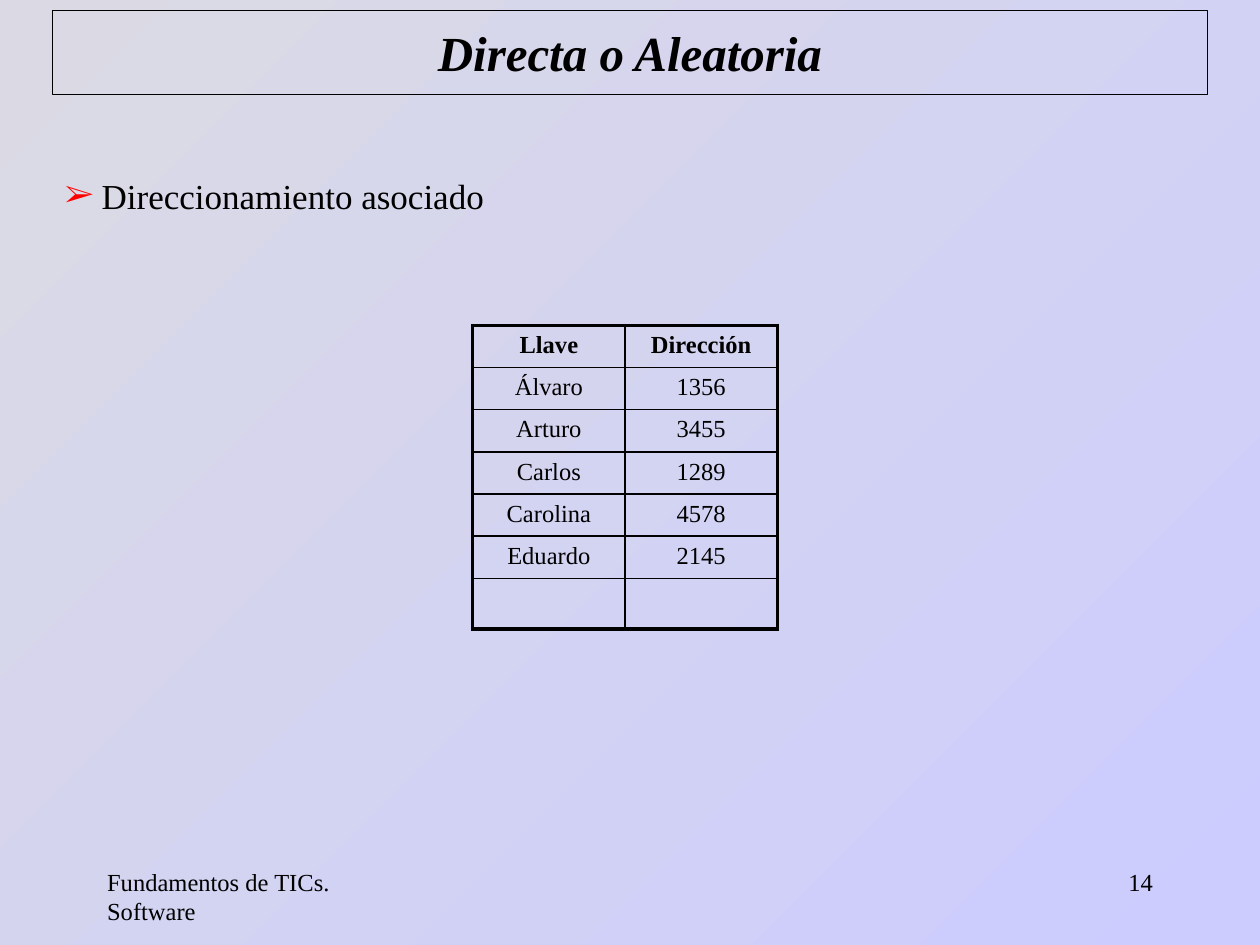
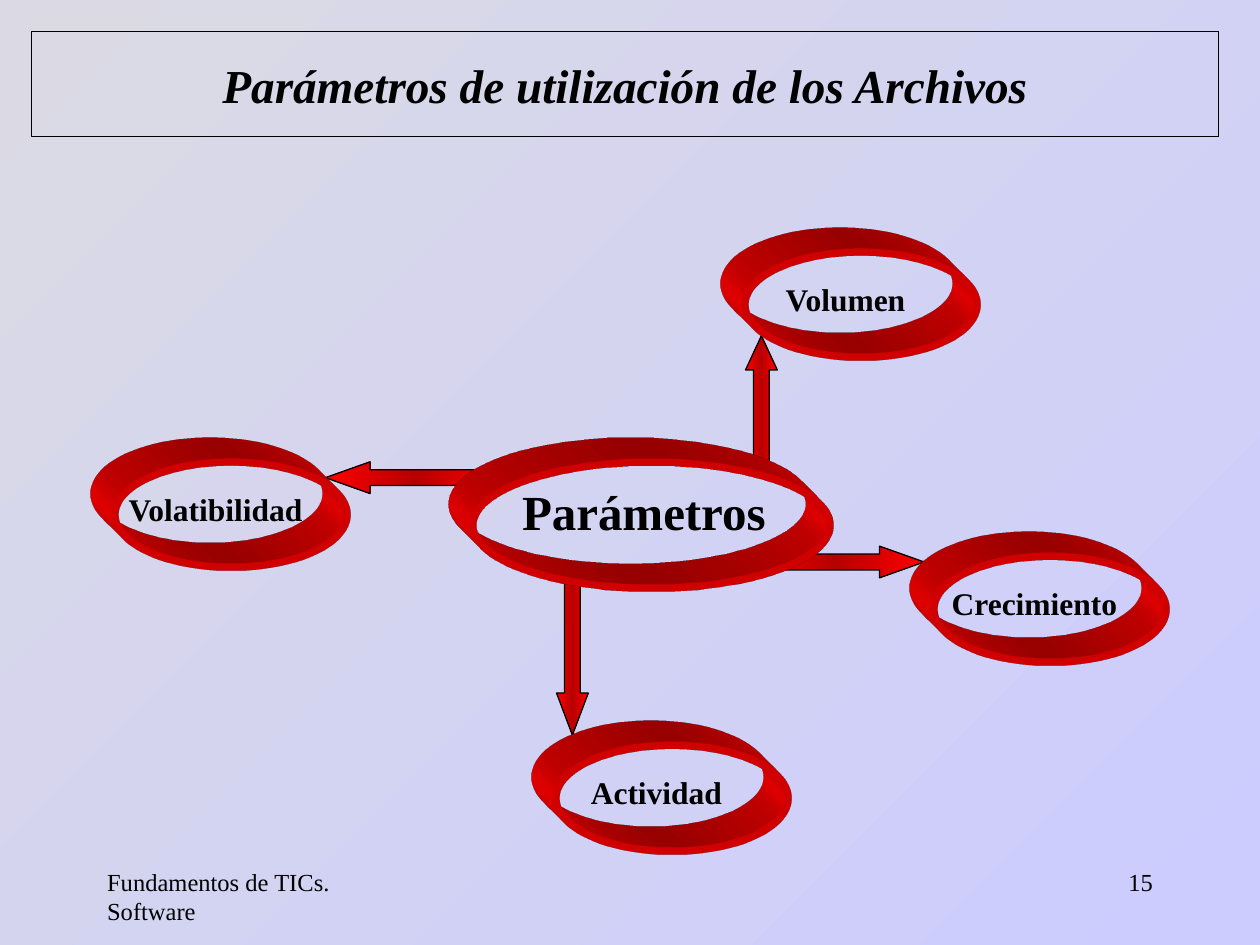
from copy import deepcopy
from lxml.etree import SubElement
from pptx import Presentation
from pptx.dml.color import RGBColor
from pptx.enum.shapes import MSO_SHAPE as Shape
from pptx.enum.text import MSO_ANCHOR as Anchor, PP_ALIGN as Align
from pptx.oxml.ns import qn
from pptx.util import Cm, Pt

# Shared look
FONT = "Times New Roman"
BLACK, RED, DARK = "000000", "FF0000", "B60000"
BACK = ["DBDAE4", "CCCCFF"]
FOOT = "Fundamentos de TICs. Software"
THIN, THICK = 1, 2.25


def color(code):
    return RGBColor.from_string(code)


def box(*sizes):
    return [Cm(size) for size in sizes]


def node(root, tag, **attrs):
    return SubElement(root, qn("a:" + tag), attrs)


def grad(fill, root, codes, angle=0):
    """Fill with evenly spaced colour stops."""
    fill.gradient()
    fill.gradient_angle = angle
    stops = root.find(".//" + qn("a:gsLst"))
    while len(stops) < len(codes):
        stops.append(deepcopy(stops[0]))
    for i, (stop, code) in enumerate(zip(fill.gradient_stops, codes)):
        stop.position = i / (len(codes) - 1)
        stop.color.rgb = color(code)


def write(frame, text, size=14, bold=False, italic=False,
          align=Align.LEFT, anchor=Anchor.TOP, lead=None):
    frame.word_wrap = True
    frame.vertical_anchor = anchor
    par = frame.paragraphs[0]
    par.alignment = align
    if lead:
        par.line_spacing = Pt(lead)
    run = par.add_run()
    run.text = text
    font = run.font
    font.name, font.size = FONT, Pt(size)
    font.bold, font.italic = bold, italic
    font.color.rgb = color(BLACK)
    return par


def label(shapes, area, text, **form):
    return write(shapes.add_textbox(*box(*area)).text_frame, text, **form)


def outline(shapes, kind, area, code=BLACK, width=0.75):
    """Add an unfilled shape with a plain line."""
    shape = shapes.add_shape(kind, *box(*area))
    shape.shadow.inherit = False
    shape.fill.background()
    shape.line.color.rgb = color(code)
    shape.line.width = Pt(width)
    return shape


def title(slide, area, text, size):
    frame = outline(slide.shapes, Shape.RECTANGLE, area).text_frame
    write(frame, text, size=size, bold=True, italic=True,
          align=Align.CENTER, anchor=Anchor.MIDDLE)


def start(deck, number):
    """Add a slide with its footer and page number."""
    slide = deck.slides.add_slide(deck.slide_layouts[6])
    label(slide.shapes, (1.91, 17.35, 5.28, 1.27), FOOT)
    label(slide.shapes, (18.21, 17.35, 5.28, 1.27), str(number),
          align=Align.RIGHT)
    return slide


def bullet(slide, area, text):
    par = label(slide.shapes, area, text, size=20)
    props = par._p.get_or_add_pPr()
    props.set("marL", str(Cm(0.74)))
    props.set("indent", str(Cm(-0.74)))
    node(node(props, "buClr"), "srgbClr", val=RED)
    node(props, "buSzPct", val="90000")
    node(props, "buFont", typeface=FONT)
    node(props, "buChar", char="➢")


def border(cell, sides):
    props = cell._tc.get_or_add_tcPr()
    for side, width in sides.items():
        line = node(props, "ln" + side, w=str(Pt(width)))
        node(node(line, "solidFill"), "srgbClr", val=BLACK)


def grid(slide, left, top, rows, wide, high):
    count, span = len(rows), len(rows[0])
    area = box(left, top, wide * span, high * count)
    table = slide.shapes.add_table(count, span, *area).table
    table.first_row = table.horz_banding = False
    for r, row in enumerate(rows):
        table.rows[r].height = Cm(high)
        for c, text in enumerate(row):
            cell = table.cell(r, c)
            edges = {"L": c == 0, "R": c == span - 1,
                     "T": r == 0, "B": r == count - 1}
            border(cell, {side: THICK if edge else THIN
                          for side, edge in edges.items()})
            cell.fill.background()
            write(cell.text_frame, text, bold=r == 0, align=Align.CENTER)


def arrow(slide, kind, area):
    shape = outline(slide.shapes, kind, area)
    grad(shape.fill, shape.element, [RED, DARK, RED])
    short, long = sorted(area[2:])
    shape.adjustments[1] = long / short / 4


def ring(slide, area, text, text_area, size=18):
    """Add a deep red ellipse grouped with its label."""
    shapes = slide.shapes.add_group_shape().shapes
    props = outline(shapes, Shape.OVAL, area, RED, 4.25).element.spPr
    scene = node(props, "scene3d")
    node(scene, "camera", prst="legacyObliqueTopLeft")
    node(scene, "lightRig", rig="legacyFlat3", dir="b")
    solid = node(props, "sp3d", extrusionH="430200",
                 prstMaterial="legacyMatte")
    for side in "TB":
        node(solid, "bevel" + side, w="13500", h="13500", prst="angle")
    node(node(solid, "extrusionClr"), "srgbClr", val=RED)
    label(shapes, text_area, text, size=size, bold=True,
          align=Align.CENTER, lead=22)


def access(deck):
    slide = start(deck, 14)
    title(slide, (1.06, 0.21, 23.28, 1.69), "Directa o Aleatoria", 28)
    bullet(slide, (1.06, 3.39, 10.8, 1.09), "Direccionamiento asociado")
    rows = [("Llave", "Dirección"), ("Álvaro", "1356"), ("Arturo", "3455"),
            ("Carlos", "1289"), ("Carolina", "4578"), ("Eduardo", "2145"),
            ("", "")]
    grid(slide, 9.53, 6.56, rows, 3.07, 0.85)


def factors(deck):
    slide = start(deck, 15)
    # Arrows from the centre outwards
    arrow(slide, Shape.DOWN_ARROW, (11.22, 11.43, 0.64, 3.39))
    arrow(slide, Shape.UP_ARROW, (15.03, 6.77, 0.64, 2.75))
    arrow(slide, Shape.RIGHT_ARROW, (15.03, 11.01, 3.6, 0.64))
    arrow(slide, Shape.LEFT_ARROW, (6.56, 9.31, 3.6, 0.64))
    title(slide, (0.64, 0.64, 23.92, 2.12),
          "Parámetros de utilización de los Archivos", 27)
    # Outer rings, then the central one
    outer = [("Volumen", 15.03, 5.08), ("Crecimiento", 18.84, 11.22),
             ("Volatibilidad", 2.33, 9.31), ("Actividad", 11.22, 15.03)]
    for text, left, top in outer:
        ring(slide, (left, top, 4.66, 2.12), text,
             (left - 0.42, top + 0.42, 4.87, 1.04))
    ring(slide, (9.53, 9.31, 7.2, 2.54), "Parámetros",
         (9.53, 9.99, 6.9, 1.04), size=28)


def main():
    deck = Presentation()
    deck.slide_width, deck.slide_height = box(25.4, 19.05)
    master = deck.slide_master
    grad(master.background.fill, master.element, BACK, 315)
    access(deck)
    factors(deck)
    deck.save("out.pptx")


if __name__ == "__main__":
    main()
